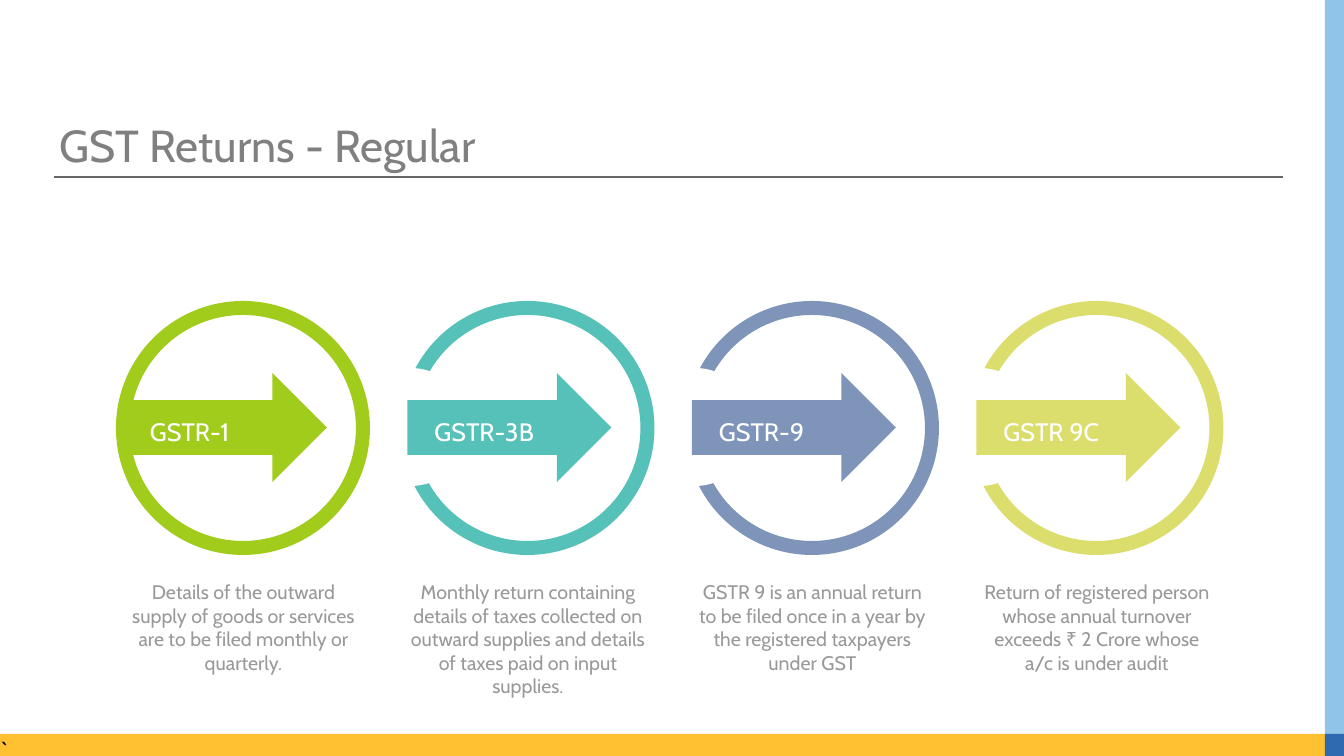
"""Build the "GST Returns - Regular" slide with four ringed arrows and captions."""
import pptx
import pptx.dml.color
import pptx.enum.shapes
import pptx.enum.text
import pptx.util
from lxml import etree

RGB = pptx.dml.color.RGBColor
SHAPE = pptx.enum.shapes.MSO_SHAPE
ALIGN = pptx.enum.text.PP_ALIGN
TOP = pptx.enum.text.MSO_ANCHOR.TOP

WHITE = RGB(0xFF, 0xFF, 0xFF)
BLACK = RGB(0x00, 0x00, 0x00)
TITLE_GREY = RGB(0x80, 0x80, 0x80)
TEXT_GREY = RGB(0x99, 0x99, 0x99)
RULE_GREY = RGB(0x66, 0x66, 0x66)
YELLOW = RGB(0xFF, 0xC0, 0x31)
SKY = RGB(0x90, 0xC4, 0xE9)
BLUE = RGB(0x2F, 0x69, 0xB0)
GREEN = RGB(0xA1, 0xCC, 0x1C)
TEAL = RGB(0x56, 0xC1, 0xB8)
SLATE = RGB(0x7E, 0x94, 0xB9)
LIME = RGB(0xDB, 0xDE, 0x6C)

PX = 914400 / 100.8
PITCH = 569 / 2

RETURNS = [
    ("GSTR-1", GREEN, "Details of the outward supply of goods or services "
     "are to be filed monthly or quarterly."),
    ("GSTR-3B", TEAL, "Monthly return containing details of taxes collected on "
     "outward supplies and details of taxes paid on input supplies."),
    ("GSTR-9", SLATE, "GSTR 9 is an annual return to be filed once in a year by "
     "the registered taxpayers under GST"),
    ("GSTR 9C", LIME, "Return of registered person whose annual turnover exceeds "
     "₹ 2 Crore whose a/c is under audit"),
]


def add_shape(kind, box, fill=None, line=None):
    sp = s.shapes.add_shape(kind, *[round(v * PX) for v in box])
    sp.shadow.inherit = False
    if fill is None:
        sp.fill.background()
    else:
        sp.fill.solid()
        sp.fill.fore_color.rgb = fill
    if line is None:
        sp.line.fill.background()
    else:
        sp.line.color.rgb = line
        sp.line.width = pptx.util.Pt(10)
    return sp


def write(sp, text, size, color, name="Cabin", align=ALIGN.LEFT):
    tf = sp.text_frame
    tf.word_wrap = True
    tf.vertical_anchor = TOP
    p = tf.paragraphs[0]
    p.alignment = align
    r = p.add_run()
    r.text = text
    for key, value in {"name": name, "size": pptx.util.Pt(size), "bold": False}.items():
        setattr(r.font, key, value)
    r.font.color.rgb = color
    return tf


prs = pptx.Presentation()
prs.slide_width = round(1344 * PX)
prs.slide_height = round(756 * PX)
s = prs.slides.add_slide(prs.slide_layouts[5])

rule = s.shapes.add_connector(pptx.enum.shapes.MSO_CONNECTOR.STRAIGHT,
                              *[round(v * PX) for v in (54, 177, 1283, 177)])
rule.line.color.rgb = RULE_GREY
rule.line.width = pptx.util.Pt(0.82)
etree.SubElement(rule.element.spPr, pptx.oxml.ns.qn("a:effectLst"))

footer = add_shape(SHAPE.RECTANGLE, (0, 734, 1336, 22), YELLOW)
tf = write(footer, "`", 18, BLACK, "Calibri")
for side in ("left", "top", "right", "bottom"):
    setattr(tf, f"margin_{side}", 0)
add_shape(SHAPE.RECTANGLE, (1325, 0, 19, 734), SKY)
add_shape(SHAPE.RECTANGLE, (1325, 734, 19, 22), BLUE)

title = s.shapes.title
for key, value in {"left": 49, "top": 119, "width": 1230, "height": 50}.items():
    setattr(title, key, round(value * PX))
tf = write(title, "GST Returns - Regular", 32, TITLE_GREY)
tf.auto_size = pptx.enum.text.MSO_AUTO_SIZE.NONE
tf.paragraphs[0].line_spacing = 0.9

for i, (label, color, caption) in reversed(list(enumerate(RETURNS))):
    x = 123 + i * PITCH
    add_shape(SHAPE.OVAL, (x, 308, 240, 240), line=color)
    if i:
        add_shape(SHAPE.OVAL, (x - 56, 368, 118, 118), WHITE)
    add_shape(SHAPE.RIGHT_ARROW, (x, 373, 204, 109), color)
    for text, box, size, ink, align in (
        (label, (x + 17, 411, 187, 40), 18, WHITE, ALIGN.LEFT),
        (caption, (x - 8, 575, 257, 105), 14, TEXT_GREY, ALIGN.CENTER),
    ):
        sp = s.shapes.add_textbox(*[round(v * PX) for v in box])
        write(sp, text, size, ink, align=align)

prs.save("out.pptx")
